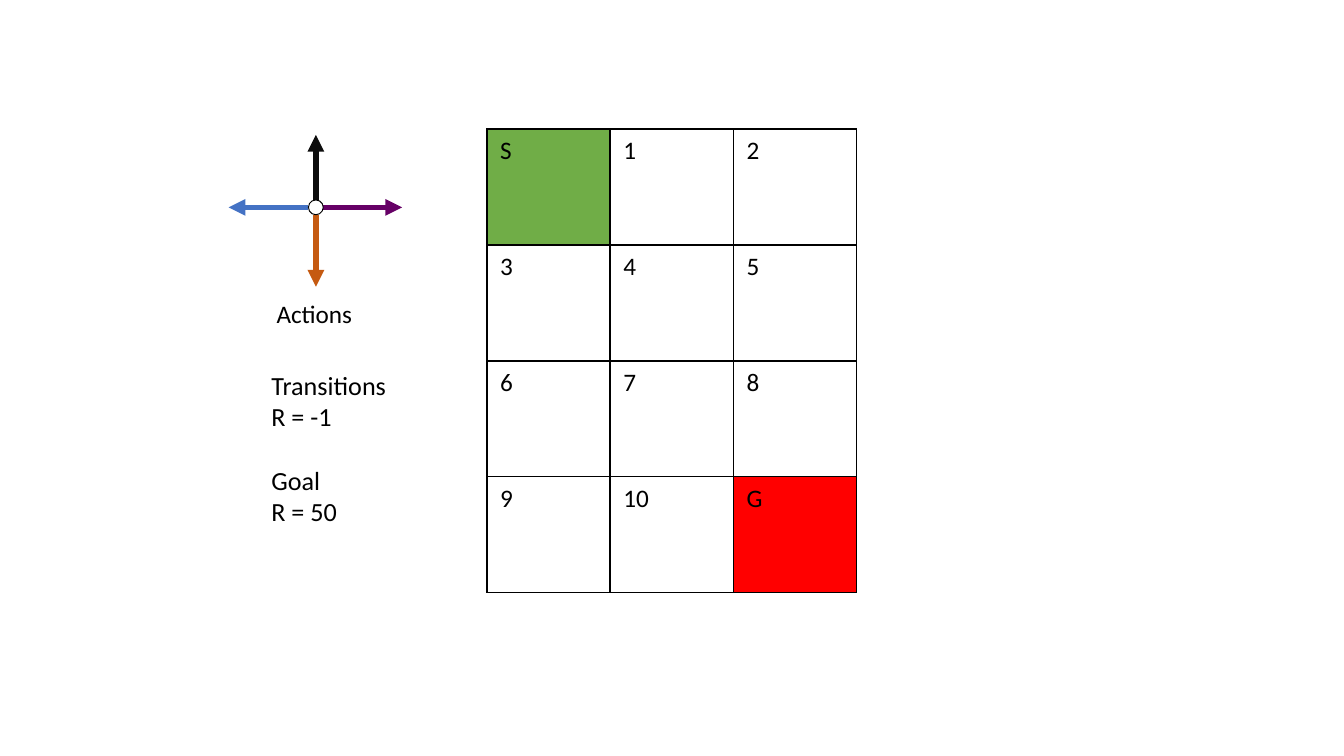
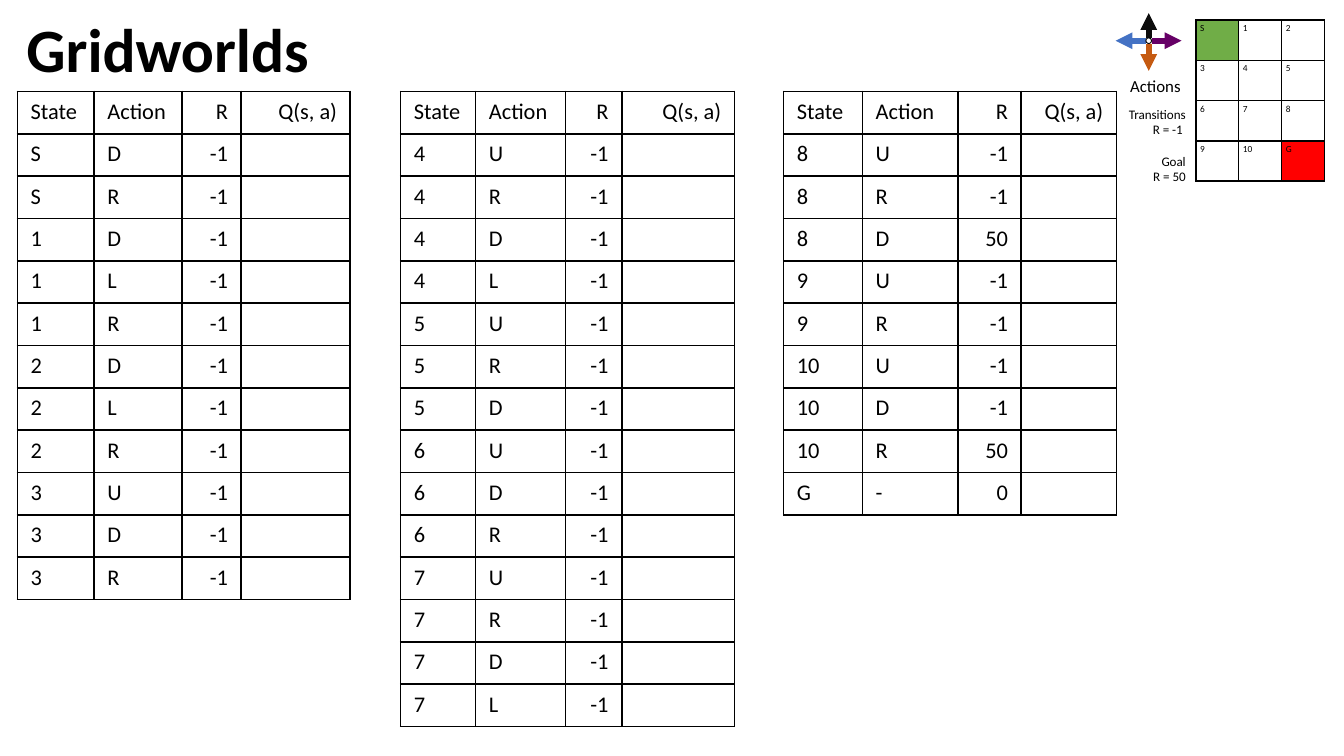
"""Build two slides on a gridworld: its layout and its state-action table."""
from lxml.etree import SubElement
from pptx import Presentation
from pptx.dml.color import RGBColor
from pptx.enum.shapes import MSO_CONNECTOR, MSO_SHAPE
from pptx.enum.text import MSO_ANCHOR, MSO_AUTO_SIZE, PP_ALIGN
from pptx.oxml import parse_xml
from pptx.oxml.ns import nsdecls, qn
from pptx.util import Cm, Pt

FONT = "Calibri"
color = RGBColor.from_string
BLACK, WHITE, START, GOAL = "000000", "FFFFFF", "70AD47", "FF0000"


def add_text(slide, box, lines, size, align=PP_ALIGN.LEFT):
    frame = slide.shapes.add_textbox(*map(Cm, box)).text_frame
    frame.word_wrap = False
    frame.auto_size = MSO_AUTO_SIZE.SHAPE_TO_FIT_TEXT
    frame.text = "\n".join(lines)
    for paragraph in frame.paragraphs:
        paragraph.alignment = align
        paragraph.font.name = FONT
        paragraph.font.size = Pt(size)
        paragraph.font.color.rgb = color(BLACK)
    return frame


def add_grid(slide, left, top, widths, row_height, rows, size, margins=(0.25, 0.13),
             fills={}, right_from=9):
    table = slide.shapes.add_table(
        len(rows), len(widths), Cm(left), Cm(top),
        Cm(sum(widths)), Cm(row_height * len(rows))).table
    table.first_row = table.horz_banding = False
    for column, width in zip(table.columns, widths):
        column.width = Cm(width)
    for row, values in zip(table.rows, rows):
        row.height = Cm(row_height)
        for index, (cell, value) in enumerate(zip(row.cells, values)):
            cell.text = value
            cell.margin_left = cell.margin_right = Cm(margins[0])
            cell.margin_top = cell.margin_bottom = Cm(margins[1])
            paragraph = cell.text_frame.paragraphs[0]
            if index >= right_from:
                paragraph.alignment = PP_ALIGN.RIGHT
            paragraph.font.name = FONT
            paragraph.font.size = Pt(size)
            paragraph.font.color.rgb = color(BLACK)
            if not value:
                SubElement(paragraph._p, qn("a:endParaRPr"), sz=str(size * 100))
            properties = cell._tc.get_or_add_tcPr()
            for side in "LRTB":
                properties.append(parse_xml(
                    f'<a:ln{side} {nsdecls("a")} w="12700"><a:solidFill>'
                    f'<a:srgbClr val="{BLACK}"/></a:solidFill></a:ln{side}>'))
            if value in fills:
                cell.fill.solid()
                cell.fill.fore_color.rgb = color(fills[value])
            else:
                cell.fill.background()


deck = Presentation()
deck.slide_width, deck.slide_height = Cm(25.4), Cm(14.29)
world_slide, values_slide = [deck.slides.add_slide(deck.slide_layouts[6]) for _ in range(2)]

title = add_text(values_slide, (0, 0, 21.9, 2), ["Gridworlds"], 33)
title.auto_size = MSO_AUTO_SIZE.NONE
title.word_wrap = True
title.vertical_anchor = MSO_ANCHOR.MIDDLE
title.margin_left = Cm(0.5)
title.paragraphs[0].line_spacing = 0.9
title.paragraphs[0].font.bold = True

states = [["S", "1", "2"], ["3", "4", "5"], ["6", "7", "8"], ["9", "10", "G"]]
actions = [(-1.65, 0, "4472C4"), (0, -1.37, "0D0D0D"), (1.63, 0, "660066"), (0, 1.5, "C55A11")]
worlds = [
    dict(slide=world_slide, grid=(9.2, 2.44, [2.33] * 3, 2.19), grid_size=13.5,
         margins=(0.25, 0.13), rewards=(4.88, 6.86, 2.72, 3.25), step="R = -1",
         rewards_size=14, align=PP_ALIGN.LEFT, center=(5.97, 3.92), scale=1,
         caption=(4.98, 5.51, 1.96, 0.84), caption_size=13.5),
    dict(slide=values_slide, grid=(22.6, 0.38, [0.81] * 3, 0.76), grid_size=5,
         margins=(0.08, 0.05), rewards=(21.03, 1.88, 1.63, 1.75), step="R = -1 ",
         rewards_size=7, align=PP_ALIGN.RIGHT, center=(21.71, 0.77), scale=0.38,
         caption=(21.11, 1.3, 1.47, 0.64), caption_size=9),
]
for world in worlds:
    slide = world["slide"]
    add_grid(slide, *world["grid"], states, world["grid_size"], world["margins"],
             {"S": START, "G": GOAL})
    rewards = add_text(slide, world["rewards"],
                       ["Transitions", world["step"], "Goal", "R = 50"],
                       world["rewards_size"], world["align"])
    rewards.paragraphs[2].space_before = Pt(world["rewards_size"] * 1.22)

    compass = slide.shapes.add_group_shape().shapes
    x, y = world["center"]
    scale = world["scale"]
    radius = 0.14 * scale
    for dx, dy, hue in actions:
        reach = abs(dx + dy)
        arrow = compass.add_connector(
            MSO_CONNECTOR.STRAIGHT,
            Cm(x + radius * dx / reach), Cm(y + radius * dy / reach),
            Cm(x + dx * scale), Cm(y + dy * scale))
        arrow.line.color.rgb = color(hue)
        arrow.line.width = Pt(3)
        SubElement(arrow.line._get_or_add_ln(), qn("a:tailEnd"), type="triangle")
        SubElement(arrow._element.spPr, qn("a:effectLst"))
    hub = compass.add_shape(MSO_SHAPE.OVAL, Cm(x - radius), Cm(y - radius),
                            Cm(2 * radius), Cm(2 * radius))
    hub.shadow.inherit = False
    hub.fill.solid()
    hub.fill.fore_color.rgb = color(WHITE)
    hub.line.color.rgb = color(BLACK)
    hub.line.width = Pt(0.5)
    add_text(slide, world["caption"], ["Actions"], world["caption_size"])

special_rewards = {("8", "D"): "50", ("10", "R"): "50", ("G", "-"): "0"}
value_tables = [
    ([1.45, 1.66, 1.12, 2.06], {"S": "DR", "1": "DLR", "2": "DLR", "3": "UDR"}),
    ([1.42, 1.7, 1.06, 2.13], {"4": "URDL", "5": "URD", "6": "UDR", "7": "URDL"}),
    ([1.49, 1.81, 1.19, 1.8], {"8": "URD", "9": "UR", "10": "UDR", "G": "-"}),
]
for index, (widths, moves) in enumerate(value_tables):
    rows = [["State", "Action", "R", "Q(s, a)"]]
    rows += [[state, move, special_rewards.get((state, move), "-1"), ""]
             for state, options in moves.items() for move in options]
    add_grid(values_slide, 0.33 + 7.24 * index, 1.73, widths, 0.8, rows, 12, right_from=2)

deck.save("out.pptx")
